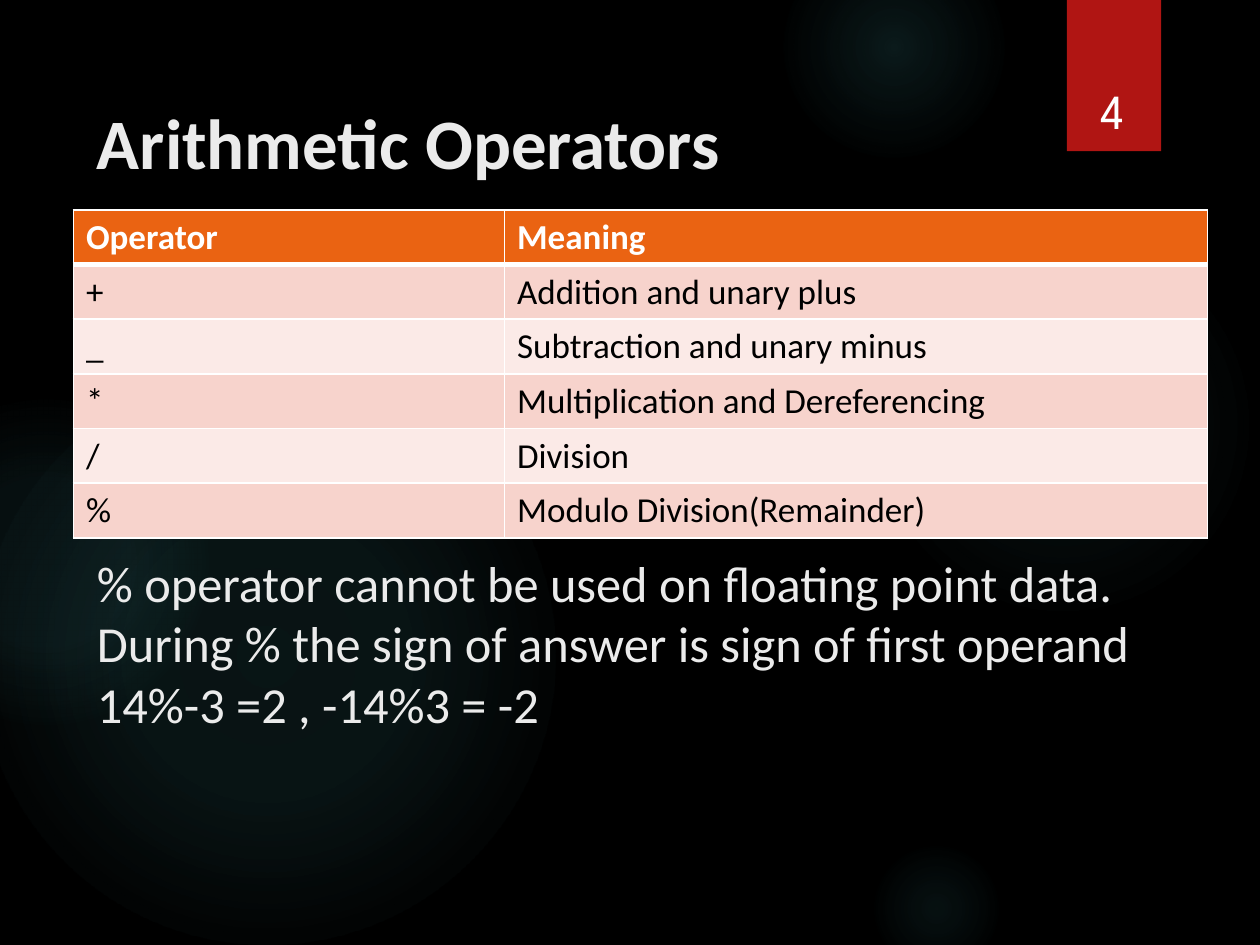
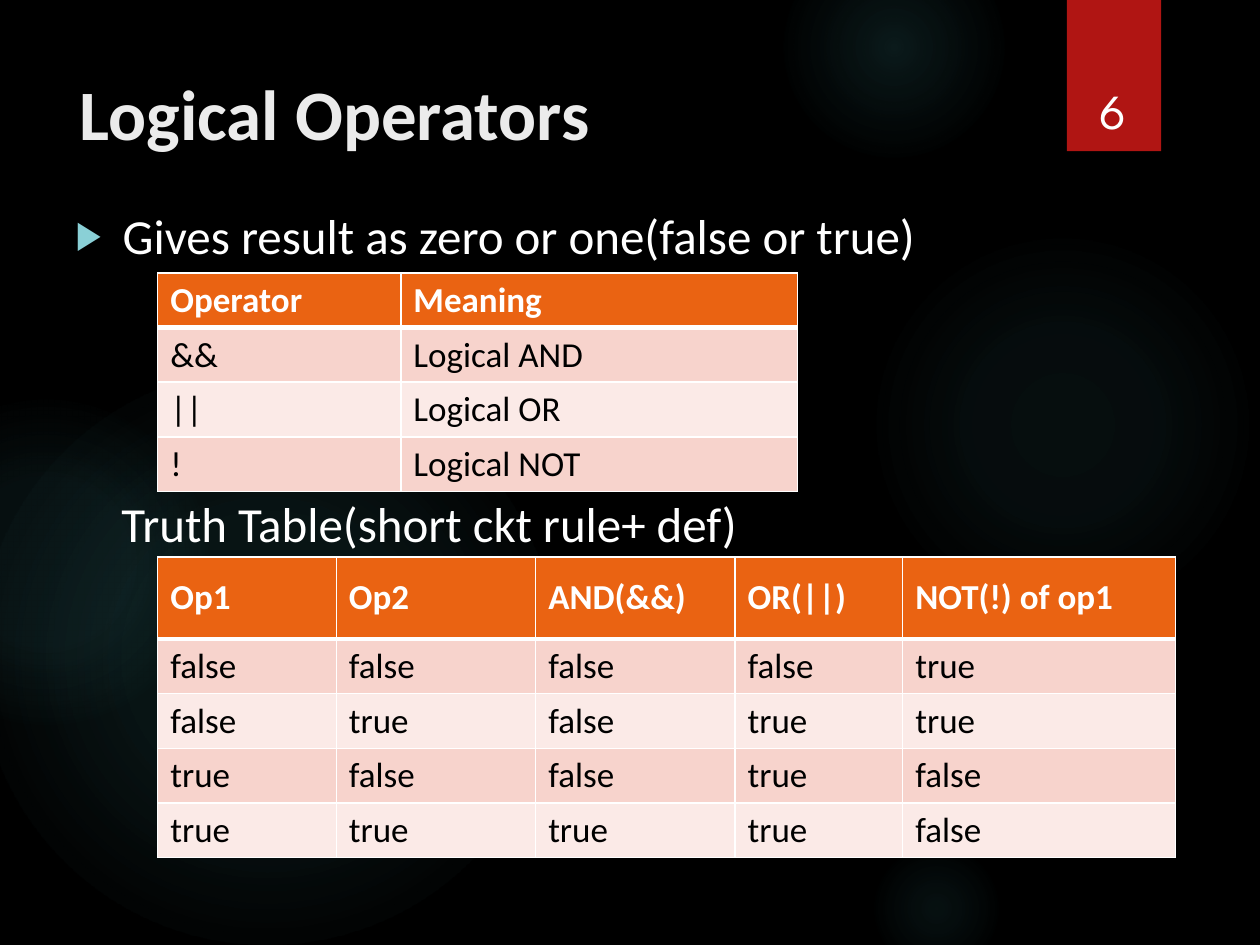
from dataclasses import dataclass

from lxml import etree
from pptx import Presentation
from pptx.dml.color import RGBColor
from pptx.enum.shapes import MSO_SHAPE
from pptx.enum.text import MSO_ANCHOR, MSO_AUTO_SIZE, PP_ALIGN
from pptx.oxml.ns import qn
from pptx.util import Cm, Pt

RECTANGLE, ELLIPSE = MSO_SHAPE.RECTANGLE, MSO_SHAPE.OVAL
TOP, MIDDLE, BOTTOM = MSO_ANCHOR.TOP, MSO_ANCHOR.MIDDLE, MSO_ANCHOR.BOTTOM
LEFT, CENTER = PP_ALIGN.LEFT, PP_ALIGN.CENTER
NO_AUTOFIT = MSO_AUTO_SIZE.NONE

# Shared colours and fonts
BLACK = RGBColor(0x00, 0x00, 0x00)
WHITE = RGBColor(0xFF, 0xFF, 0xFF)
OFF_WHITE = RGBColor(0xEB, 0xEB, 0xEB)
RED = RGBColor(0xB0, 0x15, 0x13)
ORANGE = RGBColor(0xEA, 0x63, 0x12)
PINK = RGBColor(0xF7, 0xD3, 0xCC)
PALE_PINK = RGBColor(0xFB, 0xEA, 0xE7)
GLOW_TEAL = RGBColor(0x50, 0xB9, 0xC1)
BULLET_TEAL = RGBColor(0x8A, 0xD0, 0xD6)
TEXT_FONT, NUMBER_FONT = "Calibri", "League Spartan"


@dataclass(frozen=True)
class Box:
    """Place and size in centimetres."""
    left: float
    top: float
    width: float
    height: float

    def lengths(self) -> tuple:
        return Cm(self.left), Cm(self.top), Cm(self.width), Cm(self.height)


@dataclass(frozen=True)
class Glow:
    """Round light: opacity falls from centre to middle to nothing at fade_end."""
    left: float
    top: float
    size: float
    centre: int
    middle: int
    fade_end: int


@dataclass(frozen=True)
class TextStyle:
    size: float
    color: RGBColor
    bold: bool = False
    font: str = TEXT_FONT


@dataclass(frozen=True)
class Grid:
    left: float
    top: float
    columns: tuple
    rows: tuple
    header_height: float = 1.1
    row_height: float = 1.1


TITLE = TextStyle(40.5, OFF_WHITE, bold=True)
RULES = TextStyle(28.8, OFF_WHITE)
BODY = TextStyle(28, WHITE)
PAGE_NUMBER = TextStyle(28, WHITE, font=NUMBER_FONT)
HEADER_CELL = TextStyle(20, WHITE, bold=True)
CELL = TextStyle(20, BLACK)

GLOWS = (
    Glow(17.5, 4.65, 7.82, 7, 6, 69),
    Glow(15.8, -1.27, 4.45, 14, 7, 73),
    Glow(17.5, 16.94, 2.74, 9, 5, 66),
    Glow(-0.43, 7.42, 11.63, 11, 10, 75),
    Glow(-2.34, 8.05, 6.55, 8, 8, 72),
)
RIBBON = Box(21.51, 0, 1.9, 3.05)
NUMBER_BOX = Box(21.56, 0.81, 1.75, 2.13)

ARITHMETIC = Grid(1.48, 4.23, (8.69, 14.17), (
    ("Operator", "Meaning"),
    ("+", "Addition and unary plus"),
    ("_", "Subtraction and unary minus"),
    ("*", "Multiplication and Dereferencing"),
    ("/", "Division"),
    ("%", "Modulo Division(Remainder)"),
))
MODULO_RULES = (
    "% operator cannot be used on floating point data.",
    "During % the sign of answer is sign of first operand",
    "14%-3 =2 , -14%3 = -2",
)
LOGICAL = Grid(3.18, 5.5, (4.9, 8), (
    ("Operator", "Meaning"),
    ("&&", "Logical AND"),
    ("||", "Logical OR"),
    ("!", "Logical NOT"),
))
TRUTH = Grid(3.18, 11.23, (3.6, 4.02, 4.02, 3.38, 5.5), (
    ("Op1", "Op2", "AND(&&)", "OR(||)", "NOT(!) of op1"),
    ("false", "false", "false", "false", "true"),
    ("false", "true", "false", "true", "true"),
    ("true", "false", "false", "true", "false"),
    ("true", "true", "true", "true", "false"),
), header_height=1.65)


def add_xml(parent, tag: str, **attributes):
    values = {name: str(value) for name, value in attributes.items()}
    return etree.SubElement(parent, qn(tag), values)


# Text
def apply_style(paragraph, style: TextStyle) -> None:
    font = paragraph.font
    font.name, font.size, font.bold = style.font, Pt(style.size), style.bold
    font.color.rgb = style.color


def set_bullet(paragraph, char: str = "") -> None:
    """Give the paragraph a hanging bullet, or none when char is empty."""
    props = paragraph._p.get_or_add_pPr()
    indent = Cm(0.95) if char else 0
    props.set("marL", str(indent))
    props.set("indent", str(-indent))
    if not char:
        add_xml(props, "a:buNone")
        return
    add_xml(add_xml(props, "a:buClr"), "a:srgbClr", val=BULLET_TEAL)
    add_xml(props, "a:buSzPct", val=80000)
    add_xml(props, "a:buFont", typeface="Arial")
    add_xml(props, "a:buChar", char=char)


def fill_placeholder(holder, box: Box, lines: tuple, style: TextStyle,
                     anchor=TOP, bullet: str = "") -> None:
    holder.left, holder.top, holder.width, holder.height = box.lengths()
    frame = holder.text_frame
    frame.text = "\n".join(lines)
    frame.auto_size, frame.vertical_anchor = NO_AUTOFIT, anchor
    for paragraph in frame.paragraphs:
        paragraph.alignment = LEFT
        paragraph.space_before = Pt(0)
        set_bullet(paragraph, bullet)
        apply_style(paragraph, style)


def add_text(slide, box: Box, text: str, style: TextStyle, anchor=TOP, align=LEFT):
    frame = slide.shapes.add_textbox(*box.lengths()).text_frame
    frame.word_wrap, frame.vertical_anchor = True, anchor
    paragraph = frame.paragraphs[0]
    paragraph.text, paragraph.alignment = text, align
    apply_style(paragraph, style)
    return paragraph


# Tables
def set_borders(cell, top: float, bottom: float) -> None:
    props = cell._tc.get_or_add_tcPr()
    for side, width in (("L", 1), ("R", 1), ("T", top), ("B", bottom)):
        line = add_xml(props, f"a:ln{side}", w=Pt(width))
        add_xml(add_xml(line, "a:solidFill"), "a:srgbClr", val=WHITE)


def add_grid(slide, grid: Grid) -> None:
    heights = [grid.header_height] + [grid.row_height] * (len(grid.rows) - 1)
    box = Box(grid.left, grid.top, sum(grid.columns), sum(heights))
    table = slide.shapes.add_table(len(grid.rows), len(grid.columns), *box.lengths()).table
    for column, width in zip(table.columns, grid.columns):
        column.width = Cm(width)
    for r, (texts, height) in enumerate(zip(grid.rows, heights)):
        table.rows[r].height = Cm(height)
        fill = ORANGE if r == 0 else PINK if r % 2 else PALE_PINK
        for c, text in enumerate(texts):
            cell = table.cell(r, c)
            cell.text, cell.vertical_anchor = text, MIDDLE
            set_borders(cell, top=3 if r == 1 else 1, bottom=3 if r == 0 else 1)
            cell.fill.solid()
            cell.fill.fore_color.rgb = fill
            apply_style(cell.text_frame.paragraphs[0], CELL if r else HEADER_CELL)


# Shared backdrop
def add_plain_shape(slide, kind, box: Box):
    shape = slide.shapes.add_shape(kind, *box.lengths())
    shape.shadow.inherit = False
    shape.line.fill.background()
    return shape


def add_glow(slide, glow: Glow):
    shape = add_plain_shape(slide, ELLIPSE, Box(glow.left, glow.top, glow.size, glow.size))
    gradient = etree.Element(qn("a:gradFill"), rotWithShape="1")
    stops = add_xml(gradient, "a:gsLst")
    for position, opacity in ((0, glow.centre), (36, glow.middle), (glow.fade_end, 0)):
        stop = add_xml(stops, "a:gs", pos=position * 1000)
        color = add_xml(stop, "a:srgbClr", val=GLOW_TEAL)
        add_xml(color, "a:alpha", val=opacity * 1000)
    circle = add_xml(gradient, "a:path", path="circle")
    add_xml(circle, "a:fillToRect", l=50000, t=50000, r=50000, b=50000)
    shape.element.spPr.find(qn("a:prstGeom")).addnext(gradient)
    return shape


def build_backdrop(master, slide) -> None:
    """Draw the glows and ribbon, then move them to the back of the master."""
    master.background.fill.solid()
    master.background.fill.fore_color.rgb = BLACK
    backdrop = [add_glow(slide, glow) for glow in GLOWS]
    ribbon = add_plain_shape(slide, RECTANGLE, RIBBON)
    ribbon.fill.solid()
    ribbon.fill.fore_color.rgb = RED
    for i, shape in enumerate(backdrop + [ribbon]):
        shape.element.nvSpPr.cNvPr.set("id", str(20 + i))
        master.shapes.element.insert(2 + i, shape.element)


def add_slide(deck, title: str, title_box: Box, number: int, anchor=TOP):
    slide = deck.slides.add_slide(deck.slide_layouts[1])
    fill_placeholder(slide.shapes.title, title_box, (title,), TITLE, anchor)
    add_text(slide, NUMBER_BOX, str(number), PAGE_NUMBER, BOTTOM, CENTER)
    return slide


def main() -> None:
    deck = Presentation()
    deck.slide_width, deck.slide_height = Cm(25.4), Cm(19.05)

    # Arithmetic operators
    arithmetic = add_slide(deck, "Arithmetic Operators", Box(1.7, 1.25, 22.86, 3.18), 4, MIDDLE)
    build_backdrop(deck.slide_master, arithmetic)
    add_grid(arithmetic, ARITHMETIC)
    fill_placeholder(arithmetic.placeholders[1], Box(1.7, 11, 22.86, 5.08), MODULO_RULES, RULES)

    # Logical operators
    logical = add_slide(deck, "Logical Operators", Box(1.35, 1.27, 19.6, 3.89), 6)
    fill_placeholder(logical.placeholders[1], Box(1.27, 4.02, 22.86, 1.4),
                     ("Gives result as zero or one(false or true)",), BODY, bullet="▶")
    add_grid(logical, LOGICAL)
    truth_heading = add_text(logical, Box(2.2, 9.95, 22.56, 1.4),
                             "Truth Table(short ckt rule+ def)", BODY)
    truth_heading.line_spacing = 0.9
    add_grid(logical, TRUTH)

    deck.save("out.pptx")


if __name__ == "__main__":
    main()
